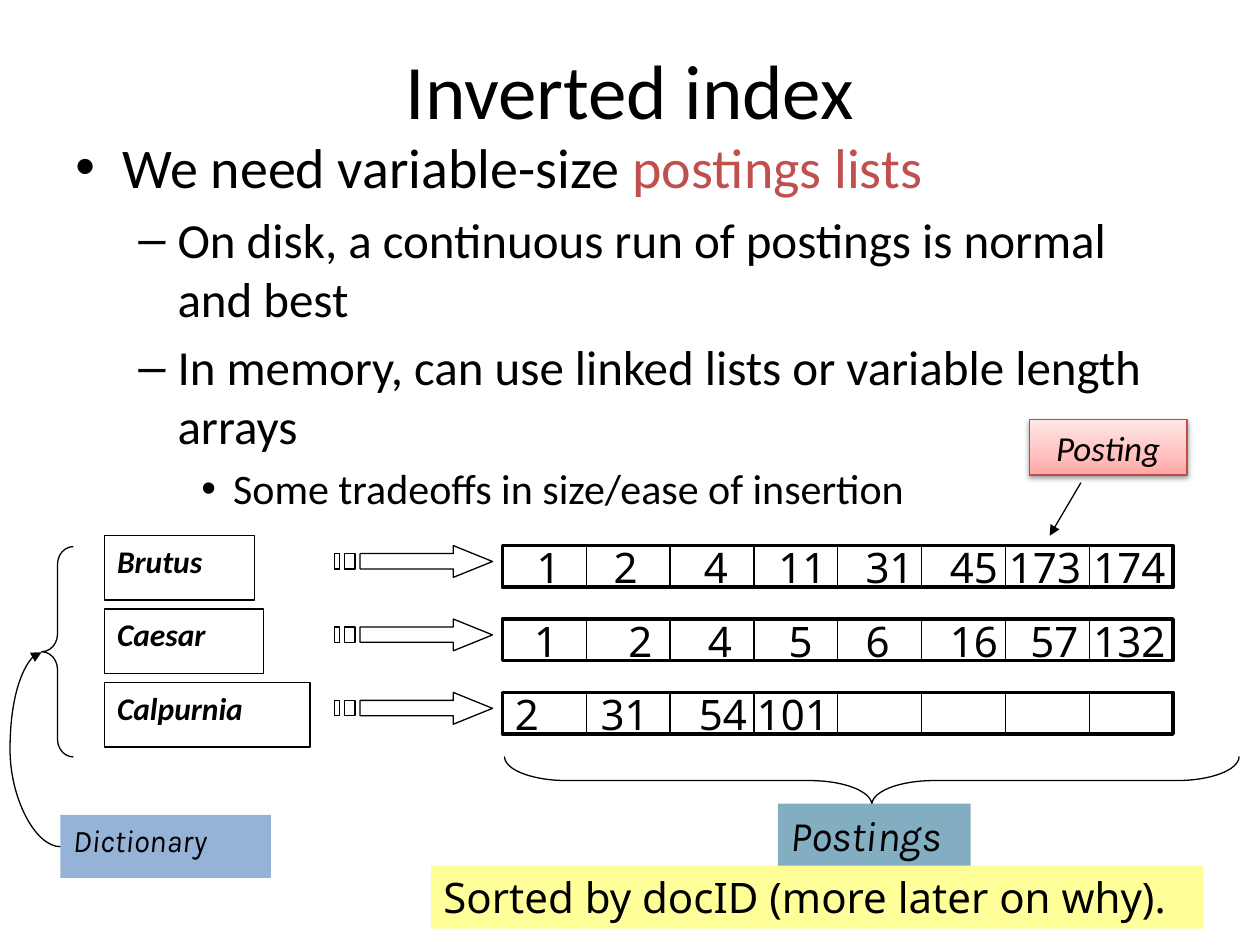
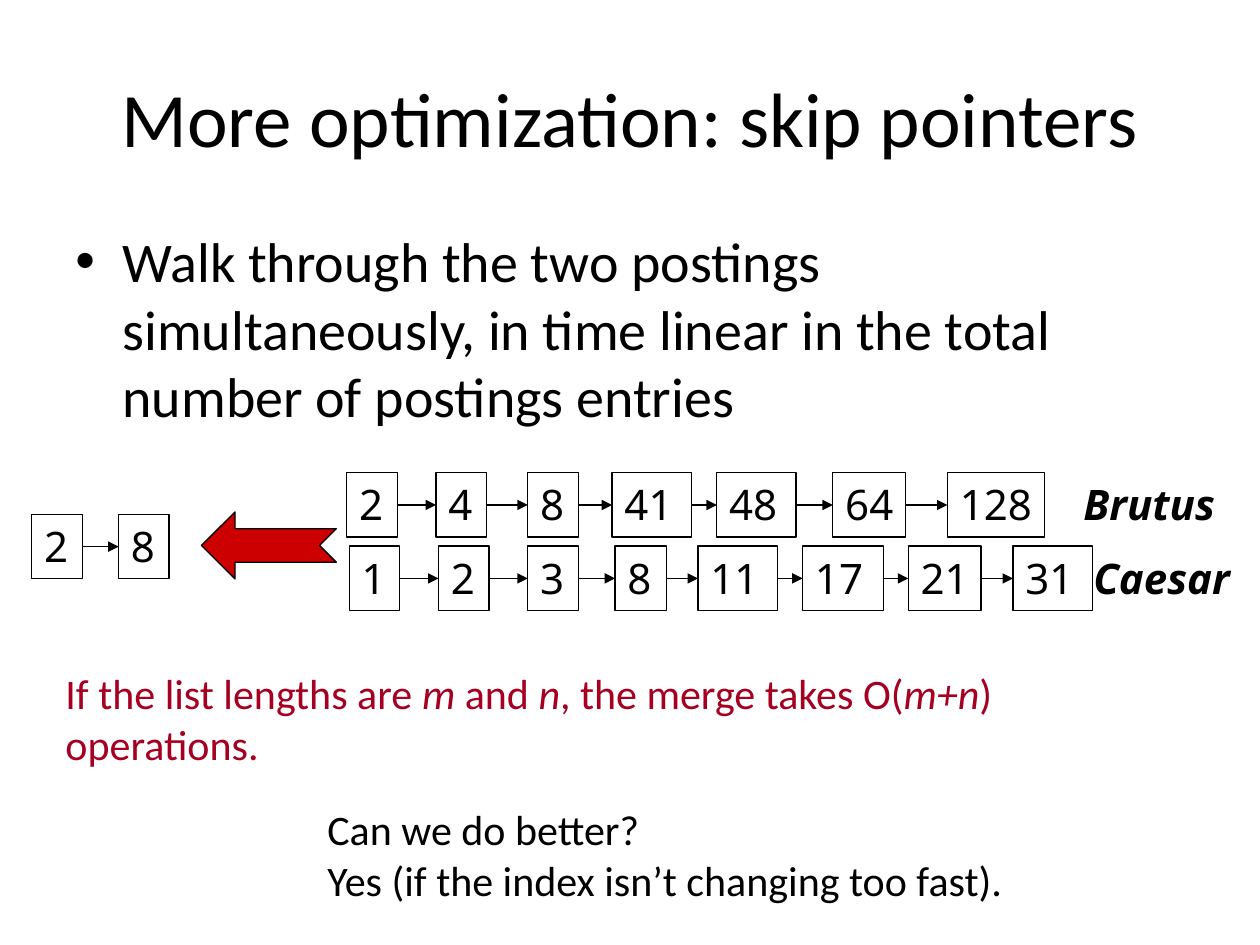
from copy import deepcopy

from lxml import etree
from pptx import Presentation
from pptx.dml.color import RGBColor
from pptx.enum import shapes, text
from pptx.oxml import ns
from pptx.util import Cm, Pt

BLACK = RGBColor(0x00, 0x00, 0x00)
ACCENT_RED = RGBColor(0xC0, 0x50, 0x4D)
DARK_RED = RGBColor(0xA5, 0x00, 0x21)
ARROW_RED = RGBColor(0xCC, 0x00, 0x00)
CALLOUT_LINE = RGBColor(0xBF, 0x4C, 0x48)
CALLOUT_STOPS = [(0, RGBColor(0xFF, 0xA6, 0xA5)),
                 (0.35, RGBColor(0xFF, 0xC0, 0xBF)),
                 (1, RGBColor(0xFF, 0xE7, 0xE7))]
BLUE = RGBColor(0x95, 0xB3, 0xD7)
TEAL = RGBColor(0x83, 0xAD, 0xC1)
YELLOW = RGBColor(0xFF, 0xFF, 0x99)

BODY_FONT, NUMBER_FONT, LABEL_FONT = "Calibri", "Noto Sans", "Karla"
THIN, THICK = 0.75, 2
TEXT_HEIGHT = 1.3

# size, bullet, left margin and hanging indent in cm
LEVELS = [(32, "•", 0.95, 0.95), (28, "–", 2.06, 0.79), (24, "•", 3.18, 0.64)]

ROW_PITCH = 1.48
CELL_WIDTH, CELL_HEIGHT, CELL_COUNT = 1.69, 0.84, 8
NUMBER_WIDTHS = {1: 1.04, 2: 1.6, 3: 2.13}
# term, width of its box, postings with their offsets in the row
INDEX_ROWS = [
    ("Brutus", 3.02, [("1", 0.44), ("2", 1.99), ("4", 3.81), ("11", 5.31),
                      ("31", 7.07), ("45", 8.77), ("173", 9.96), ("174", 11.66)]),
    ("Caesar", 3.2, [("1", 0.39), ("2", 2.29), ("4", 3.89), ("5", 5.52),
                     ("6", 7.07), ("16", 8.77), ("57", 10.39), ("132", 11.66)]),
    ("Calpurnia", 4.14, [("2", 0), ("31", 1.73), ("54", 3.71), ("101", 4.88)]),
]
STRIPED_ARROW = [
    [(239, 0), (239, 16), (51, 16), (51, 47), (239, 47), (239, 64), (318, 32)],
    [(20, 16), (20, 47), (41, 47), (41, 16)],
    [(0, 16), (0, 47), (10, 47), (10, 16)],
]

# posting, offset in the chain, box width
BRUTUS_CHAIN = [("2", 0, 1.02), ("4", 1.8, 1.02), ("8", 3.65, 1.02), ("41", 5.35, 1.6),
                ("48", 7.46, 1.6), ("64", 9.8, 1.47), ("128", 12.11, 1.96)]
CAESAR_CHAIN = [("1", 0, 1.02), ("2", 1.8, 1.02), ("3", 3.6, 1.02), ("8", 5.36, 1.04),
                ("11", 7.03, 1.6), ("17", 9.14, 1.63), ("21", 11.27, 1.47), ("31", 13.38, 1.6)]
MERGED_CHAIN = [("2", 0, 1.02), ("8", 1.75, 1.02)]


def write(shape, paragraphs, font=BODY_FONT, size=24, color=BLACK, bold=False, italic=False,
          align=text.PP_ALIGN.LEFT, anchor=text.MSO_ANCHOR.TOP, wrap=False, grow=True):
    """Fill a shape; a paragraph is a string or a list of (text, run overrides)."""
    frame = shape.text_frame
    frame.word_wrap = wrap
    frame.auto_size = text.MSO_AUTO_SIZE.SHAPE_TO_FIT_TEXT if grow else text.MSO_AUTO_SIZE.NONE
    frame.vertical_anchor = anchor
    if isinstance(paragraphs, str):
        paragraphs = [paragraphs]
    for number, content in enumerate(paragraphs):
        paragraph = frame.add_paragraph() if number else frame.paragraphs[0]
        paragraph.alignment = align
        runs = [(content, {})] if isinstance(content, str) else content
        for words, overrides in runs:
            run = paragraph.add_run()
            run.text = words
            run.font.name = font
            run.font.size = Pt(size)
            run.font.bold = bold
            run.font.italic = overrides.get("italic", italic)
            run.font.color.rgb = overrides.get("color", color)
    return shape


def add_text(slide, box, paragraphs, **style):
    return write(slide.shapes.add_textbox(*map(Cm, box)), paragraphs, **style)


def paint(shape, fill=None, line=BLACK, width=THIN):
    shape.shadow.inherit = False
    if fill is None:
        shape.fill.background()
    else:
        shape.fill.solid()
        shape.fill.fore_color.rgb = fill
    if line is None:
        shape.line.fill.background()
    else:
        shape.line.color.rgb = line
        shape.line.width = Pt(width)
    return shape


def add_shape(slide, box, kind=shapes.MSO_SHAPE.RECTANGLE, adjustments=(), rotation=0, **look):
    shape = slide.shapes.add_shape(kind, *map(Cm, box))
    for position, value in enumerate(adjustments):
        shape.adjustments[position] = value
    shape.rotation = rotation
    return paint(shape, **look)


def add_line(slide, start, end, kind=shapes.MSO_CONNECTOR.STRAIGHT, arrow=True):
    line = slide.shapes.add_connector(kind, *map(Cm, (*start, *end)))
    line.line.color.rgb = BLACK
    line.line.width = Pt(THIN)
    properties = line._element.spPr
    if arrow:
        etree.SubElement(properties.find(ns.qn("a:ln")), ns.qn("a:tailEnd"), type="triangle")
    etree.SubElement(properties, ns.qn("a:effectLst"))
    return line


def add_title(slide, title, top):
    placeholder = slide.shapes.title
    placeholder.left, placeholder.top = Cm(1.27), Cm(top)
    placeholder.width, placeholder.height = Cm(22.86), Cm(3.18)
    write(placeholder, title, size=44, align=text.PP_ALIGN.CENTER,
          anchor=text.MSO_ANCHOR.MIDDLE, wrap=True, grow=False)


def add_bullets(slide, top, items):
    """Items are (level, paragraph content)."""
    body = add_text(slide, (1.27, top, 22.86, 12.57), [content for _, content in items],
                    wrap=True, grow=False)
    for (level, _), paragraph in zip(items, body.text_frame.paragraphs):
        size, bullet, margin, hanging = LEVELS[level]
        for run in paragraph.runs:
            run.font.size = Pt(size)
        paragraph.space_before = Pt(size * 0.2)
        properties = paragraph._p.get_or_add_pPr()
        properties.set("marL", str(Cm(margin)))
        properties.set("indent", str(-Cm(hanging)))
        etree.SubElement(properties, ns.qn("a:buFont"), typeface="Arial")
        etree.SubElement(properties, ns.qn("a:buChar"), char=bullet)


def add_striped_arrow(slide, left, top):
    first, *stripes = STRIPED_ARROW
    builder = slide.shapes.build_freeform(*first[0], scale=Cm(0.01))
    builder.add_line_segments(first[1:])
    for stripe in stripes:
        builder.move_to(*stripe[0])
        builder.add_line_segments(stripe[1:])
    paint(builder.convert_to_shape(Cm(left), Cm(top)))


def add_postings_row(slide, left, top, postings):
    """Cells are drawn as nested frames around a middle line."""
    for inset in range(CELL_COUNT // 2):
        box = (left + inset * CELL_WIDTH, top, (CELL_COUNT - 2 * inset) * CELL_WIDTH, CELL_HEIGHT)
        add_shape(slide, box, width=THIN if inset else THICK)
    middle = left + CELL_COUNT / 2 * CELL_WIDTH
    add_line(slide, (middle, top), (middle, top + CELL_HEIGHT), arrow=False)
    for number, offset in postings:
        add_text(slide, (left + offset, top - 0.2, NUMBER_WIDTHS[len(number)], TEXT_HEIGHT),
                 number, font=NUMBER_FONT)


def add_index(slide, left, top):
    for row, (term, width, postings) in enumerate(INDEX_ROWS):
        y = top + row * ROW_PITCH
        write(add_shape(slide, (left, y - 0.2, width, TEXT_HEIGHT)), term,
              size=18, bold=True, italic=True)
        add_striped_arrow(slide, left + 4.64, y)
        add_postings_row(slide, left + 8.02, y, postings)


def add_dictionary_label(slide, left, top):
    brace = shapes.MSO_SHAPE.LEFT_BRACE
    add_shape(slide, (left, top, 0.64, 4.24), brace, (0.556, 0.5))
    label = add_shape(slide, (left + 0.38, top + 5.41, 4.24, 1.27), fill=BLUE, line=None)
    write(label, "Dictionary", font=LABEL_FONT, size=18, italic=True)
    curve = add_line(slide, (left + 0.38, top + 6.05), (left, top + 2.13),
                     shapes.MSO_CONNECTOR.CURVE)
    guides = curve._element.spPr.find(ns.qn("a:prstGeom")).get_or_add_avLst()
    etree.SubElement(guides, ns.qn("a:gd"), name="adj1", fmla="val 267400")


def add_postings_label(slide, left, top):
    width, depth = 14.81, 0.97
    upright = (left + (width - depth) / 2, top - (width - depth) / 2, depth, width)
    add_shape(slide, upright, shapes.MSO_SHAPE.LEFT_BRACE, (1.296, 0.5), 270)
    label = add_shape(slide, (left + 5.51, top + 0.95, 3.89, TEXT_HEIGHT), fill=TEAL, line=None)
    write(label, "Postings", font=LABEL_FONT, italic=True)
    note = add_shape(slide, (left - 1.48, top + 2.2, 15.57, 1.27), fill=YELLOW, line=None)
    write(note, "Sorted by docID (more later on why).", font=NUMBER_FONT)


def add_posting_callout(slide, left, top):
    callout = add_shape(slide, (left, top, 3.18, 1.12), line=CALLOUT_LINE)
    fill = callout.fill
    fill.gradient()
    fill.gradient_angle = 90
    stops = callout._element.spPr.find(".//" + ns.qn("a:gsLst"))
    stops.append(deepcopy(stops[0]))
    for stop, (position, color) in zip(fill.gradient_stops, CALLOUT_STOPS):
        stop.position = position
        stop.color.rgb = color
    effects = callout._element.spPr.find(ns.qn("a:effectLst"))
    shadow = etree.SubElement(effects, ns.qn("a:outerShdw"), blurRad=str(Pt(3.1)),
                              dist=str(Pt(1.6)), dir="5400000", rotWithShape="0")
    shade = etree.SubElement(shadow, ns.qn("a:srgbClr"), val=str(BLACK))
    etree.SubElement(shade, ns.qn("a:alpha"), val="38000")
    write(callout, "Posting", size=20, italic=True, align=text.PP_ALIGN.CENTER,
          anchor=text.MSO_ANCHOR.MIDDLE, wrap=True)
    add_line(slide, (left + 1.04, top + 1.27), (left + 0.41, top + 2.34))


def add_chain(slide, left, top, entries):
    previous = None
    for number, offset, width in entries:
        box = add_shape(slide, (left + offset, top, width, TEXT_HEIGHT))
        write(box, number, font=NUMBER_FONT)
        if previous is not None:
            link = add_line(slide, (left, top), (left + offset, top))
            link.begin_connect(previous, 3)
            link.end_connect(box, 1)
        previous = box


def add_merge(slide, left, top):
    add_chain(slide, left + 6.35, top, BRUTUS_CHAIN)
    add_chain(slide, left + 6.4, top + ROW_PITCH, CAESAR_CHAIN)
    add_text(slide, (left + 20.95, top, 3.25, 1.27), "Brutus",
             font=NUMBER_FONT, bold=True, italic=True)
    add_text(slide, (left + 21.15, top + ROW_PITCH, 3.35, 1.27), "Caesar",
             font=NUMBER_FONT, bold=True, italic=True)
    add_shape(slide, (left + 3.42, top + 0.79, 2.72, 1.35), shapes.MSO_SHAPE.NOTCHED_RIGHT_ARROW,
              (0.5, 0.502), 180, fill=ARROW_RED)
    add_chain(slide, left, top + 0.84, MERGED_CHAIN)


def build_inverted_index(slide):
    add_title(slide, "Inverted index", 0.2)
    add_bullets(slide, 2.54, [
        (0, [("We need variable-size ", {}), ("postings lists", {"color": ACCENT_RED})]),
        (1, "On disk, a continuous run of postings is normal and best"),
        (1, "In memory, can use linked lists or variable length arrays"),
        (2, "Some tradeoffs in size/ease of insertion"),
    ])
    add_dictionary_label(slide, 0.84, 11.02)
    add_postings_label(slide, 10.17, 15.25)
    add_posting_callout(slide, 20.75, 8.46)
    add_index(slide, 2.11, 11)


def build_skip_pointers(slide):
    add_title(slide, "More optimization: skip pointers", 0.76)
    add_bullets(slide, 4.45, [
        (0, "Walk through the two postings simultaneously, in time linear "
            "in the total number of postings entries"),
    ])
    add_merge(slide, 0.64, 9.53)
    slanted = {"italic": True}
    add_text(slide, (1.07, 13.34, 19.38, 2.31), [
        [("If the list lengths are ", {}), ("m", slanted), (" and ", {}), ("n", slanted),
         (", the merge takes O(", {}), ("m+n", slanted), (")", {})],
        "operations.",
    ], color=DARK_RED)
    add_text(slide, (6.35, 16.08, 14.25, 2.31),
             ["Can we do better?", "Yes (if the index isn’t changing too fast)."])


def main():
    presentation = Presentation()
    presentation.slide_width, presentation.slide_height = Cm(25.4), Cm(19.05)
    title_only = presentation.slide_layouts[5]
    for build in (build_inverted_index, build_skip_pointers):
        build(presentation.slides.add_slide(title_only))
    presentation.save("out.pptx")


if __name__ == "__main__":
    main()
